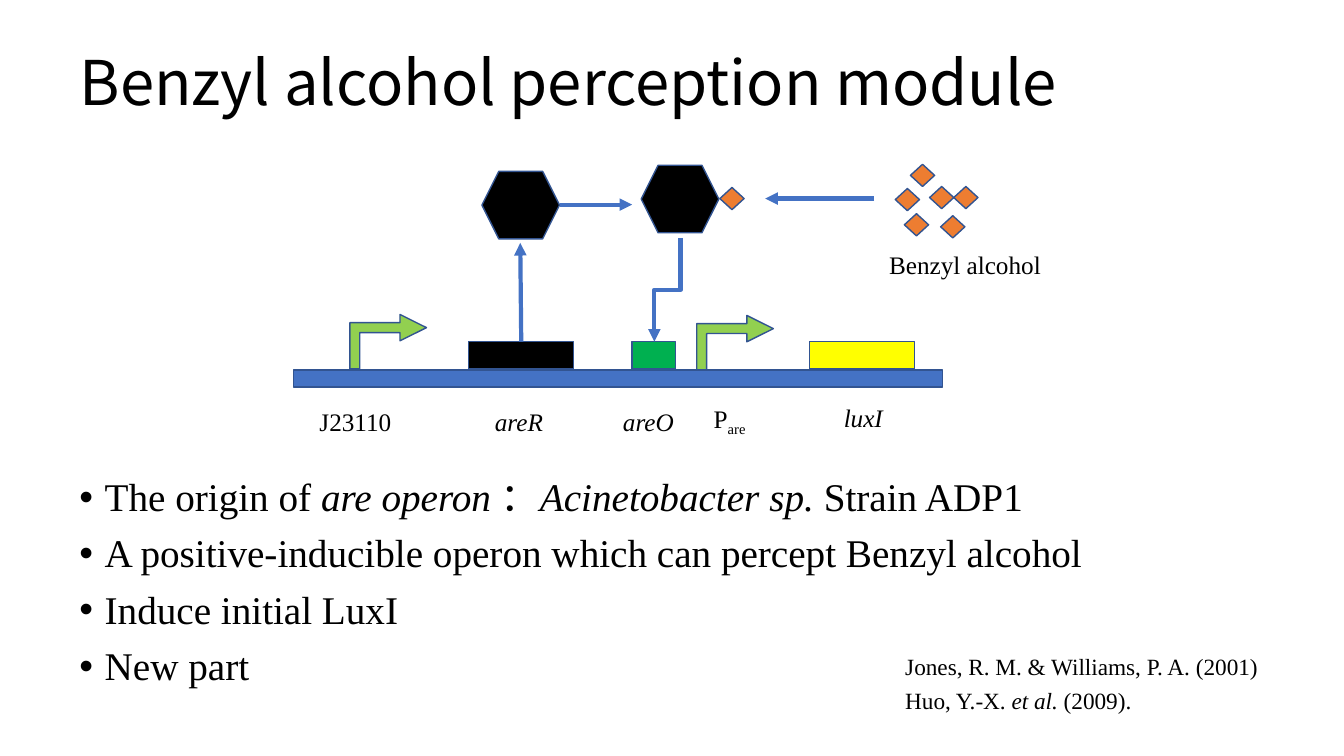
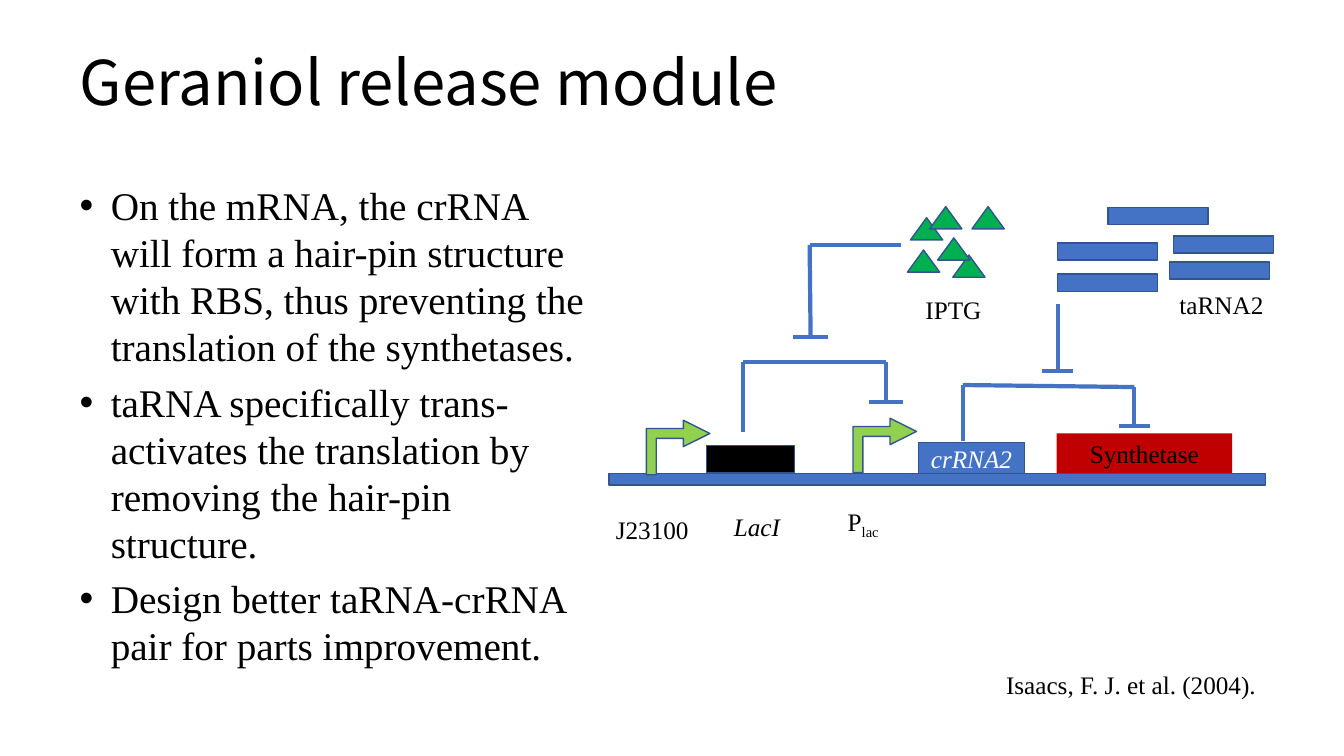
from dataclasses import dataclass
from itertools import pairwise

from lxml import etree
from pptx import Presentation
from pptx.dml.color import RGBColor
from pptx.enum.shapes import MSO_CONNECTOR, MSO_SHAPE
from pptx.enum.text import MSO_ANCHOR, PP_ALIGN
from pptx.oxml.ns import qn
from pptx.slide import Slide
from pptx.util import Inches, Pt

RECTANGLE = MSO_SHAPE.RECTANGLE
PROCESS = MSO_SHAPE.FLOWCHART_PROCESS
HEXAGON = MSO_SHAPE.HEXAGON
DIAMOND = MSO_SHAPE.DIAMOND
TRIANGLE = MSO_SHAPE.ISOSCELES_TRIANGLE
BENT_ARROW = MSO_SHAPE.BENT_UP_ARROW
STRAIGHT, ELBOW = MSO_CONNECTOR.STRAIGHT, MSO_CONNECTOR.ELBOW
MIDDLE = MSO_ANCHOR.MIDDLE
LEFT, CENTER = PP_ALIGN.LEFT, PP_ALIGN.CENTER

TITLE_FONT, BODY_FONT = "Noto Sans CJK SC", "Times New Roman"
BLACK, WHITE, BLUE, OUTLINE = "000000", "FFFFFF", "4472C4", "325491"
LIME, GREEN, YELLOW, ORANGE, RED = "92D050", "00B050", "FFFF00", "ED7D31", "C00000"
ITALIC, SUBSCRIPT = "italic", "subscript"


def color(value):
    """Turn a hex string into a colour."""
    return RGBColor.from_string(value)


def set_font(font, size, name=BODY_FONT, fill=BLACK):
    """Give a font its name, size and colour."""
    font.name = name
    font.size = Pt(size)
    font.color.rgb = color(fill)


def add_bullet(paragraph, indent):
    """Give a paragraph a round bullet with a hanging indent."""
    properties = paragraph._p.get_or_add_pPr()
    properties.set("marL", str(Inches(indent)))
    properties.set("indent", str(-Inches(indent)))
    etree.SubElement(properties, qn("a:buFont"), typeface="Arial")
    etree.SubElement(properties, qn("a:buChar"), char="•")


def write(frame, paragraphs, size=18, fill=BLACK, align=LEFT, indent=0, spacing=None, before=0):
    """Write paragraphs, each a list of strings or (string, style) runs."""
    frame.word_wrap = True
    for index, runs in enumerate(paragraphs):
        paragraph = frame.add_paragraph() if index else frame.paragraphs[0]
        if indent:
            add_bullet(paragraph, indent)
        paragraph.alignment = align
        if spacing:
            paragraph.line_spacing = spacing
        if index:
            paragraph.space_before = Pt(before)
        set_font(paragraph.font, size, fill=fill)
        for part in runs:
            text, style = (part, None) if isinstance(part, str) else part
            run = paragraph.add_run()
            run.text = text
            if style == ITALIC:
                run.font.italic = True
            elif style == SUBSCRIPT:
                run.font._element.set("baseline", "-25000")


def add_text(slide, left, top, width, height, paragraphs, **style):
    """Add a text box."""
    box = slide.shapes.add_textbox(*map(Inches, (left, top, width, height)))
    write(box.text_frame, paragraphs, **style)
    return box


@dataclass
class Diagram:
    """A diagram whose parts are placed from its left top corner."""

    slide: Slide
    left: float
    top: float

    def place(self, x, y):
        """Return the slide position of a point in the diagram."""
        return Inches(self.left + x), Inches(self.top + y)

    def shape(self, kind, x, y, width, height, fill, outline=OUTLINE):
        """Add a filled shape."""
        shape = self.slide.shapes.add_shape(kind, *self.place(x, y), Inches(width), Inches(height))
        shape.shadow.inherit = False
        shape.fill.solid()
        shape.fill.fore_color.rgb = color(fill)
        if outline:
            shape.line.color.rgb = color(outline)
            shape.line.width = Pt(1)
        else:
            shape.line.fill.background()
        return shape

    def cluster(self, kind, points, width, height, fill):
        """Add equal shapes at several points."""
        for x, y in points:
            self.shape(kind, x, y, width, height, fill)

    def promoter(self, x, y, width):
        """Add a promoter arrow that rises and turns right."""
        height = 0.54
        shift = (width - height) / 2
        arrow = self.shape(BENT_ARROW, x + shift, y - shift, height, width, LIME)
        arrow.rotation = 270
        arrow._element.spPr.xfrm.set("flipV", "1")
        for index, value in enumerate((0.182, 0.242, 0.487)):
            arrow.adjustments[index] = value

    def line(self, start, end, arrow=False, kind=STRAIGHT):
        """Add a line, with an arrowhead at its end if wanted."""
        line = self.slide.shapes.add_connector(kind, *self.place(*start), *self.place(*end))
        line.line.color.rgb = color(BLUE)
        line.line.width = Pt(3)
        if arrow:
            etree.SubElement(line.line._get_or_add_ln(), qn("a:tailEnd"), type="triangle")
        etree.SubElement(line._element.spPr, qn("a:effectLst"))
        return line

    def step_down(self, start, end):
        """Add an elbow arrow that leaves and arrives vertically."""
        middle_x, middle_y = (start[0] + end[0]) / 2, (start[1] + end[1]) / 2
        half_length, half_shift = (end[1] - start[1]) / 2, (start[0] - end[0]) / 2
        elbow = self.line(
            (middle_x - half_length, middle_y - half_shift),
            (middle_x + half_length, middle_y + half_shift),
            arrow=True,
            kind=ELBOW,
        )
        elbow._element.spPr.xfrm.set("rot", "5400000")

    def inhibition(self, points, bar=0.34):
        """Add a path that ends in a crossbar."""
        for start, end in pairwise(points):
            self.line(start, end)
        x, y = points[-1]
        self.line((x - bar / 2, y), (x + bar / 2, y))

    def label(self, x, y, width, *runs):
        """Add a one-line label."""
        box = add_text(self.slide, self.left + x, self.top + y, width, 0.4, [runs])
        box.text_frame.margin_right = 0

    def named_gene(self, kind, x, y, width, height, fill, run, text_fill, outline=OUTLINE):
        """Add a gene with its name inside."""
        frame = self.shape(kind, x, y, width, height, fill, outline).text_frame
        frame.margin_top = frame.margin_bottom = 0
        frame.vertical_anchor = MIDDLE
        write(frame, [[run]], fill=text_fill, align=CENTER)


def add_titled_slide(presentation, text):
    """Add a slide with its title."""
    slide = presentation.slides.add_slide(presentation.slide_layouts[5])
    title = slide.shapes.title
    title.left, title.top, title.width, title.height = map(Inches, (0.69, 0.12, 11.5, 1.45))
    title.text_frame.text = text
    title.text_frame.vertical_anchor = MIDDLE
    paragraph = title.text_frame.paragraphs[0]
    paragraph.alignment = LEFT
    paragraph.line_spacing = 0.9
    set_font(paragraph.font, 44, TITLE_FONT)
    return slide


def draw_perception(slide, left, top):
    """Draw the benzyl alcohol circuit."""
    diagram = Diagram(slide, left, top)
    diagram.shape(RECTANGLE, 0.01, 2.07, 6.44, 0.17, BLUE)
    for x, y in ((0.57, 1.52), (4.01, 1.53)):
        diagram.promoter(x, y, 0.76)
    for x, width, fill in ((1.75, 1.04, BLACK), (3.37, 0.43, GREEN), (5.13, 1.04, YELLOW)):
        diagram.shape(RECTANGLE, x, 1.79, width, 0.27, fill)
    diagram.cluster(HEXAGON, ((1.88, 0.1), (3.46, 0.04)), 0.77, 0.67, BLACK)
    molecules = ((6.13, 0.03), (6.56, 0.25), (6.07, 0.52), (5.98, 0.27),
                 (6.32, 0.25), (6.43, 0.54), (4.24, 0.26))
    diagram.cluster(DIAMOND, molecules, 0.24, 0.22, ORANGE)
    for start, end in (
        ((2.27, 1.79), (2.26, 0.81)),
        ((2.65, 0.43), (3.37, 0.43)),
        ((5.77, 0.37), (4.69, 0.37)),
    ):
        diagram.line(start, end, arrow=True)
    diagram.step_down((3.85, 0.76), (3.59, 1.79))
    diagram.label(0.17, 2.38, 0.91, "J23110")
    diagram.label(1.91, 2.38, 0.71, ("areR", ITALIC))
    diagram.label(3.18, 2.38, 0.71, ("areO", ITALIC))
    diagram.label(4.08, 2.35, 0.61, "P", ("are", SUBSCRIPT))
    diagram.label(5.37, 2.34, 0.61, ("luxI", ITALIC))
    diagram.label(5.82, 0.82, 1.8, "Benzyl alcohol")


def draw_release(slide, left, top):
    """Draw the geraniol circuit."""
    diagram = Diagram(slide, left, top)
    diagram.inhibition(((3.55, 2.38), (3.55, 1.82), (5.25, 1.84), (5.25, 2.23)), 0.31)
    diagram.inhibition(((4.49, 1.02), (4.49, 1.68)), 0.31)
    diagram.inhibition(((1.37, 2.29), (1.37, 1.59), (2.79, 1.59), (2.79, 1.99)))
    diagram.inhibition(((2.94, 0.43), (2.03, 0.43), (2.04, 1.34)))
    strands = ((4.49, 0.41), (5.64, 0.34), (4.49, 0.72), (5.6, 0.6), (4.99, 0.06))
    diagram.cluster(PROCESS, strands, 0.99, 0.17, BLUE)
    molecules = ((3.03, 0.16), (3.64, 0.05), (3.45, 0.53), (3, 0.48), (3.3, 0.36), (3.22, 0.05))
    diagram.cluster(TRIANGLE, molecules, 0.32, 0.22, GREEN)
    diagram.named_gene(RECTANGLE, 4.48, 2.3, 1.74, 0.4, RED, "Synthetase", BLACK, None)
    diagram.named_gene(PROCESS, 3.11, 2.39, 1.05, 0.31, BLUE, ("crRNA2", ITALIC), WHITE)
    diagram.shape(PROCESS, 0.04, 2.7, 6.51, 0.11, BLUE)
    diagram.shape(RECTANGLE, 1.01, 2.42, 0.87, 0.27, BLACK)
    for x, y in ((0.41, 2.17), (2.46, 2.15)):
        diagram.promoter(x, y, 0.63)
    diagram.label(3.08, 0.87, 0.81, "IPTG")
    diagram.label(5.6, 0.82, 1.04, "taRNA2")
    diagram.label(0.01, 3.05, 0.97, "J23100")
    diagram.label(1.18, 3.02, 0.69, ("LacI", ITALIC))
    diagram.label(2.31, 2.97, 0.54, "P", ("lac", SUBSCRIPT))


def add_perception_slide(presentation):
    """Build the perception module slide."""
    slide = add_titled_slide(presentation, "Benzyl alcohol perception module")
    points = [
        ["The origin of ", ("are operon ", ITALIC), "：", ("Acinetobacter sp.", ITALIC), " Strain ADP1"],
        ["A positive-inducible operon which can percept Benzyl alcohol"],
        ["Induce initial LuxI"],
        ["New part"],
    ]
    add_text(slide, 0.69, 4.69, 11.5, 2.27, points, size=28, indent=0.25, spacing=0.9, before=10)
    draw_perception(slide, 2.9, 1.6)
    references = [
        ["Jones, R. M. & Williams, P. A. (2001)"],
        ["Huo, Y.-X. ", ("et al.", ITALIC), " (2009)."],
    ]
    add_text(slide, 8.88, 6.5, 4.18, 0.69, references, size=16.6, spacing=0.7, before=10)


def add_release_slide(presentation):
    """Build the release module slide."""
    slide = add_titled_slide(presentation, "Geraniol release module")
    points = [
        ["On the mRNA, the crRNA will form a hair-pin structure with RBS, "
         "thus preventing the translation of the synthetases."],
        ["taRNA specifically trans-activates the translation by removing the hair-pin structure."],
        ["Design better taRNA-crRNA pair for parts improvement."],
    ]
    add_text(slide, 0.69, 1.75, 5.22, 4.92, points, size=28, indent=0.31, before=6)
    draw_release(slide, 6, 2)
    add_text(slide, 9.88, 6.59, 3.09, 0.4, [["Isaacs, F. J. et al. (2004)."]])


def main():
    """Build and save the presentation."""
    presentation = Presentation()
    presentation.slide_width, presentation.slide_height = Inches(13.33), Inches(7.5)
    add_perception_slide(presentation)
    add_release_slide(presentation)
    presentation.save("out.pptx")


if __name__ == "__main__":
    main()
